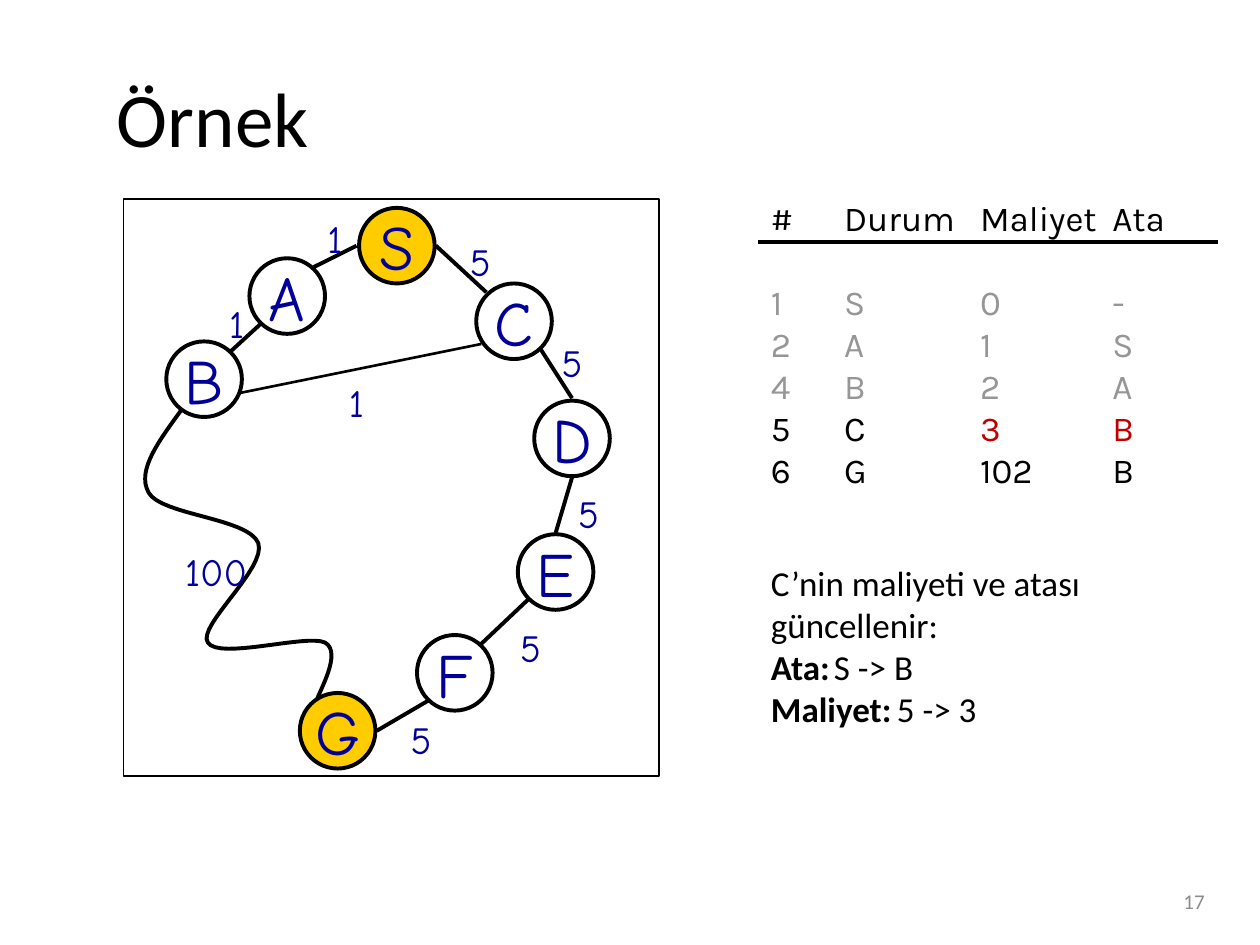
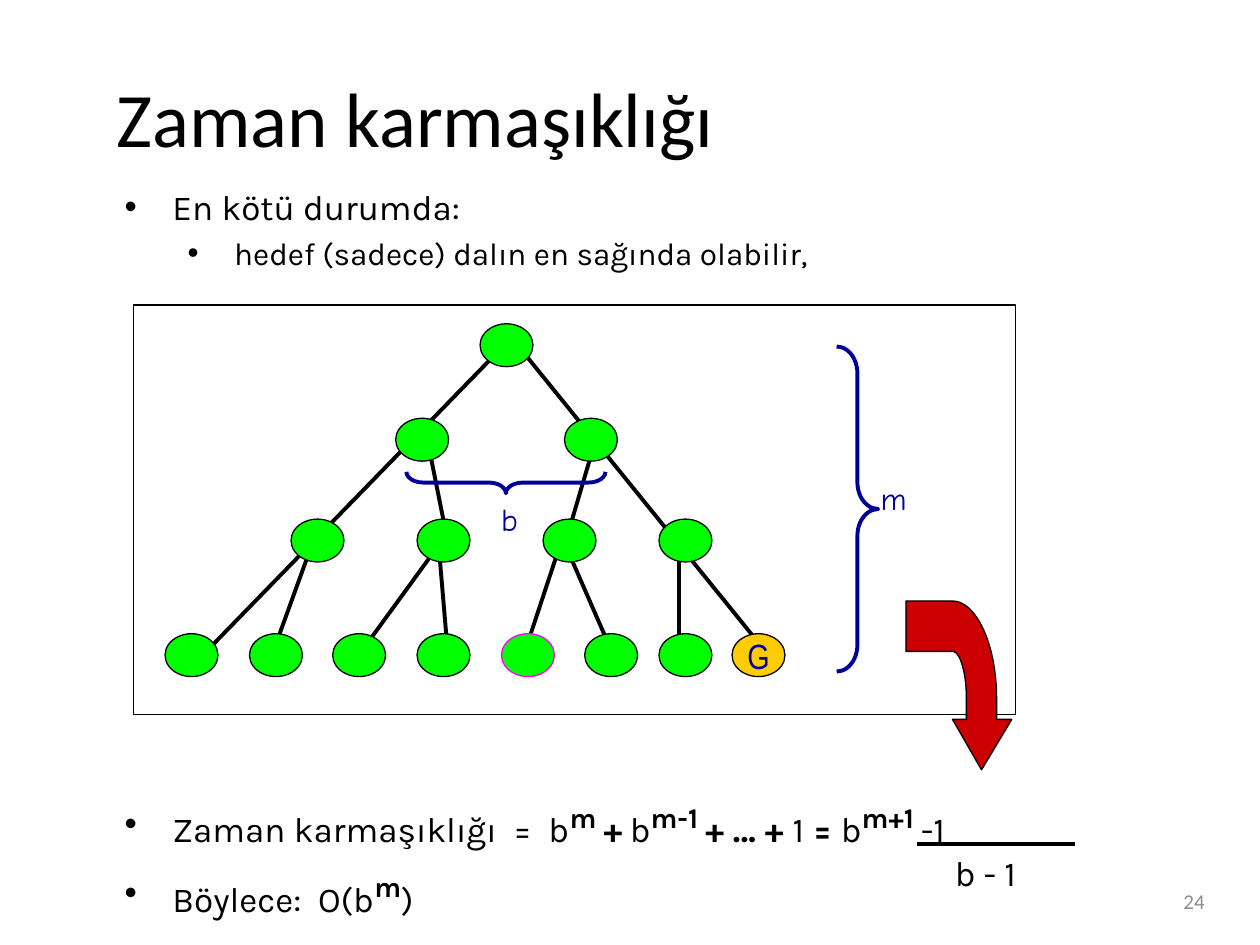
from lxml import etree
from pptx import Presentation
from pptx.dml.color import RGBColor
from pptx.enum.shapes import MSO_CONNECTOR, MSO_SHAPE
from pptx.enum.text import MSO_ANCHOR, MSO_AUTO_SIZE, PP_ALIGN
from pptx.oxml.ns import qn
from pptx.util import Emu, Pt

PX = 9144  # 100 px to the inch
STRAIGHT = MSO_CONNECTOR.STRAIGHT
RECT, OVAL = MSO_SHAPE.RECTANGLE, MSO_SHAPE.OVAL
LEFT_BRACE, RIGHT_BRACE = MSO_SHAPE.LEFT_BRACE, MSO_SHAPE.RIGHT_BRACE
MIDDLE, TOP = MSO_ANCHOR.MIDDLE, MSO_ANCHOR.TOP
LEFT, CENTER, RIGHT = PP_ALIGN.LEFT, PP_ALIGN.CENTER, PP_ALIGN.RIGHT
FIT, FIXED = MSO_AUTO_SIZE.SHAPE_TO_FIT_TEXT, MSO_AUTO_SIZE.NONE

COLORS = {
    "black": "000000", "white": "FFFFFF", "navy": "000099", "gold": "FFCC00",
    "green": "00FF00", "magenta": "FF00FF", "arrow": "CC0000", "changed": "C00000",
    "visited": "969696", "number": "8C8C8C",
}
BODY, DATA, HAND, NARROW = "Calibri", "Karla", "Comic Neue", "Arial Narrow"


def px(*lengths):
    return [Emu(round(length * PX)) for length in lengths]


def rgb(name):
    return RGBColor.from_string(COLORS[name])


# Text
def set_font(font, face, size, color="black"):
    font.name, font.size = face, Pt(size)
    font.color.rgb = rgb(color)


def add_runs(paragraph, runs):
    """Runs are (text, style) pairs; style is "", "bold", "sup" or a colour."""
    for text, style in runs:
        run = paragraph.add_run()
        run.text = text
        if style in ("bold", "sup"):
            run.font.bold = True
        if style == "sup":
            run.font.size = Pt(28)
            run._r.get_or_add_rPr().set("baseline", "30000")
        elif style in COLORS:
            run.font.color.rgb = rgb(style)


def set_tabs(paragraph, stops):
    tabs = etree.SubElement(paragraph._p.get_or_add_pPr(), qn("a:tabLst"))
    for stop in stops:
        etree.SubElement(tabs, qn("a:tab"), pos=str(stop * PX), algn="l")


def set_bullet(paragraph, margin, hanging):
    props = paragraph._p.get_or_add_pPr()
    props.set("marL", str(margin * PX))
    props.set("indent", str(-hanging * PX))
    etree.SubElement(props, qn("a:buFont"), typeface="Arial")
    etree.SubElement(props, qn("a:buChar"), char="•")


def add_frame(slide, box, anchor=TOP, wrap=True, fit=FIXED):
    frame = slide.shapes.add_textbox(*px(*box)).text_frame
    frame.word_wrap, frame.auto_size, frame.vertical_anchor = wrap, fit, anchor
    return frame


def add_lines(frame, lines, face, size):
    """Each line is a list of runs; returns the paragraphs."""
    for index, runs in enumerate(lines):
        paragraph = frame.add_paragraph() if index else frame.paragraphs[0]
        add_runs(paragraph, runs)
    for paragraph in frame.paragraphs:
        set_font(paragraph.font, face, size)
    return frame.paragraphs


def add_label(slide, text, box, face=HAND, size=22, color="navy",
              align=LEFT, anchor=TOP, wrap=False, fit=FIT):
    paragraph = add_frame(slide, box, anchor, wrap, fit).paragraphs[0]
    paragraph.text, paragraph.alignment = text, align
    set_font(paragraph.font, face, size, color)


def add_bullets(slide, box, items):
    """Items are (runs, level, margin, hanging, size, space before)."""
    frame = add_frame(slide, box)
    for index, (runs, level, margin, hanging, size, gap) in enumerate(items):
        paragraph = frame.add_paragraph() if index else frame.paragraphs[0]
        paragraph.level, paragraph.space_before = level, Pt(gap)
        set_bullet(paragraph, margin, hanging)
        set_font(paragraph.font, DATA, size)
        add_runs(paragraph, runs)


# Drawing
def paint(shape, fill, line, width):
    shape.shadow.inherit = False
    if fill:
        shape.fill.solid()
        shape.fill.fore_color.rgb = rgb(fill)
    else:
        shape.fill.background()
    shape.line.color.rgb = rgb(line)
    shape.line.width = Pt(width)


def add_preset(slide, kind, box, fill=None, line="black", width=0.75):
    shape = slide.shapes.add_shape(kind, *px(*box))
    paint(shape, fill, line, width)
    return shape


def add_node(slide, box, fill, width, letter="", face=HAND, size=36, line="black"):
    node = add_preset(slide, OVAL, box, fill, line, width)
    if letter:
        frame = node.text_frame
        frame.word_wrap, frame.vertical_anchor = False, MIDDLE
        paragraph = frame.paragraphs[0]
        paragraph.text, paragraph.alignment = letter, CENTER
        set_font(paragraph.font, face, size, "navy")


def add_brace(slide, kind, box, curl, rotation=0):
    brace = add_preset(slide, kind, box, line="navy", width=2.25)
    brace.adjustments[0], brace.adjustments[1] = curl, 0.5
    brace.rotation = rotation


def add_edge(slide, x1, y1, x2, y2, width=2.25):
    edge = slide.shapes.add_connector(STRAIGHT, *px(x1, y1, x2, y2))
    edge.line.color.rgb = rgb("black")
    edge.line.width = Pt(width)
    etree.SubElement(edge._element.spPr, qn("a:effectLst"))


def add_outline(slide, start, steps, closed, fill, width, pieces=16):
    """Steps hold one point for a line, or three for a Bézier curve."""
    points, here = [], start
    for step in steps:
        if len(step) == 1:
            points += step
        else:
            first, second, end = step
            for i in range(1, pieces + 1):
                t = i / pieces
                points.append(tuple(
                    (1 - t) ** 3 * a + 3 * (1 - t) ** 2 * t * b
                    + 3 * (1 - t) * t ** 2 * c + t ** 3 * d
                    for a, b, c, d in zip(here, first, second, end)))
        here = step[-1]
    builder = slide.shapes.build_freeform(*px(*start), scale=1.0)
    builder.add_line_segments([px(*point) for point in points], close=closed)
    paint(builder.convert_to_shape(), fill, "black", width)


def add_base(deck, title, number):
    slide = deck.slides.add_slide(deck.slide_layouts[6])
    add_label(slide, number, (733, 695, 233, 40), BODY, 12, "number",
              RIGHT, MIDDLE, True, FIXED)
    add_label(slide, title, (83, 30, 883, 125), BODY, 44, "black",
              LEFT, MIDDLE, True, FIXED)
    return slide


# Slide: cost graph and search table
def add_cost_graph(slide):
    add_preset(slide, RECT, (98, 158, 425, 458), "white")
    add_outline(slide, (145, 324), [
        [(127, 349), (108, 373), (118, 391)],
        [(128, 409), (197, 411), (205, 431)],
        [(212, 451), (156, 497), (165, 510)],
        [(174, 524), (243, 503), (258, 510)],
        [(272, 518), (253, 549), (251, 557)],
    ], False, None, 2.25)
    for edge in [(340, 556, 299, 580), (429, 277, 454, 316), (454, 379, 441, 423),
                 (419, 476, 382, 511), (283, 195, 249, 212), (346, 195, 386, 232),
                 (207, 257, 183, 279), (190, 312, 382, 273, 1.5)]:
        add_edge(slide, *edge)
    for letter, x, y in [("G", 238, 550), ("D", 424, 318), ("E", 411, 424),
                         ("F", 331, 504), ("S", 285, 165), ("A", 198, 205),
                         ("C", 378, 225), ("B", 132, 271)]:
        add_node(slide, (x, y, 60, 60), "gold" if letter in "SG" else "white",
                 2.25, letter)
    widths = {"1": 34, "5": 39, "100": 71}
    for cost, x, y in [("100", 137, 430), ("5", 316, 563), ("5", 436, 264),
                       ("5", 449, 384), ("5", 403, 490), ("1", 250, 166),
                       ("5", 363, 184), ("1", 172, 233), ("1", 267, 296)]:
        add_label(slide, cost, (x, y, widths[cost], 47))


def add_search_table(slide):
    rows = [
        [("#\tDurum\tMaliyet\tAta", "")],
        [("1\tS\t0\t-", "visited")],
        [("2\tA\t1\tS", "visited")],
        [("4\tB\t2\tA", "visited")],
        [("5\tC\t", ""), ("3\tB", "changed")],
        [("6\tG\t102\tB", "")],
    ]
    frame = add_frame(slide, (602, 151, 362, 279), fit=FIT)
    header, first_row = add_lines(frame, rows, DATA, 20)[:2]
    first_row.space_before = Pt(24)
    header_props = header._p.get_or_add_pPr()
    set_tabs(header, (58, 166, 271))
    header_props.append(header_props.find(qn("a:defRPr")))  # must follow the tabs
    add_edge(slide, 602, 192, 967, 192)


def add_update_note(slide):
    add_lines(add_frame(slide, (602, 441, 362, 145), fit=FIT), [
        [("C’nin maliyeti ve atası güncellenir:", "")],
        [("Ata:", "bold"), ("\tS -> B", "")],
        [("Maliyet:", "bold"), ("\t5 -> 3", "")],
    ], BODY, 20)


# Slide: search tree and complexity
def add_search_tree(slide):
    add_preset(slide, RECT, (106, 242, 700, 325), "white")
    for edge in [(539, 423, 539, 517), (448, 431, 489, 525), (448, 422, 414, 525),
                 (348, 431, 356, 525), (356, 422, 281, 525), (248, 431, 214, 525),
                 (473, 348, 448, 433), (339, 348, 356, 433),
                 (406, 268, 156, 525), (406, 268, 614, 525)]:
        add_edge(slide, *edge)
    levels = {257: [381], 332: [314, 448], 412: [231, 331, 431, 523],
              503: [131, 198, 264, 331, 464, 523]}
    for y, lefts in levels.items():
        for x in lefts:
            add_node(slide, (x, y, 42, 34), "green", 0.75)
    add_node(slide, (398, 503, 42, 34), "green", 0.75, line="magenta")
    add_node(slide, (581, 503, 42, 34), "gold", 0.75, "G", NARROW, 20)
    # Depth and branching
    add_brace(slide, RIGHT_BRACE, (664, 275, 33, 258), 0.646)
    add_label(slide, "m", (689, 375, 46, 50), size=18)
    add_brace(slide, LEFT_BRACE, (393, 304, 17, 158), 0.792, 270)
    add_label(slide, "b", (388, 392, 40, 50), size=18)


def add_complexity(slide):
    add_bullets(slide, (89, 625, 875, 108), [
        ([("Zaman karmaşıklığı  =  b", ""), ("m ", "sup"), ("+", "bold"),
          (" ", "sup"), ("b", ""), ("m-1 ", "sup"), ("+ … + ", "bold"), ("1", ""),
          (" = ", "bold"), ("b", ""), ("m+1 ", "sup"), ("-1", "")],
         0, 38, 38, 20, 6),
        ([("Böylece:  O(b", ""), ("m", "sup"), (")", "")], 0, 38, 38, 20, 6),
    ])
    add_outline(slide, (779, 611), [
        [(803, 571)], [(791, 571)], [(791, 554)],
        [(791, 512), (775, 477), (756, 477)],
        [(719, 477)], [(719, 517)], [(756, 517)],
        [(762, 517), (767, 534), (767, 554)],
        [(767, 571)], [(756, 571)],
    ], True, "arrow", 0.75)
    add_label(slide, "b - 1", (748, 671, 79, 44), DATA, 20, "black")
    add_edge(slide, 728, 670, 853, 670)


def main():
    deck = Presentation()
    deck.slide_width, deck.slide_height = px(1000, 750)

    example = add_base(deck, "Örnek", "17")
    add_cost_graph(example)
    add_search_table(example)
    add_update_note(example)

    complexity = add_base(deck, "Zaman karmaşıklığı", "24")
    add_bullets(complexity, (89, 142, 875, 592), [
        ([("En kötü durumda:", "")], 0, 38, 38, 20, 4),
        ([("hedef (sadece) dalın en sağında olabilir,", "")], 1, 87, 37, 18, 4),
    ])
    add_search_tree(complexity)
    add_complexity(complexity)

    deck.save("out.pptx")


if __name__ == "__main__":
    main()
